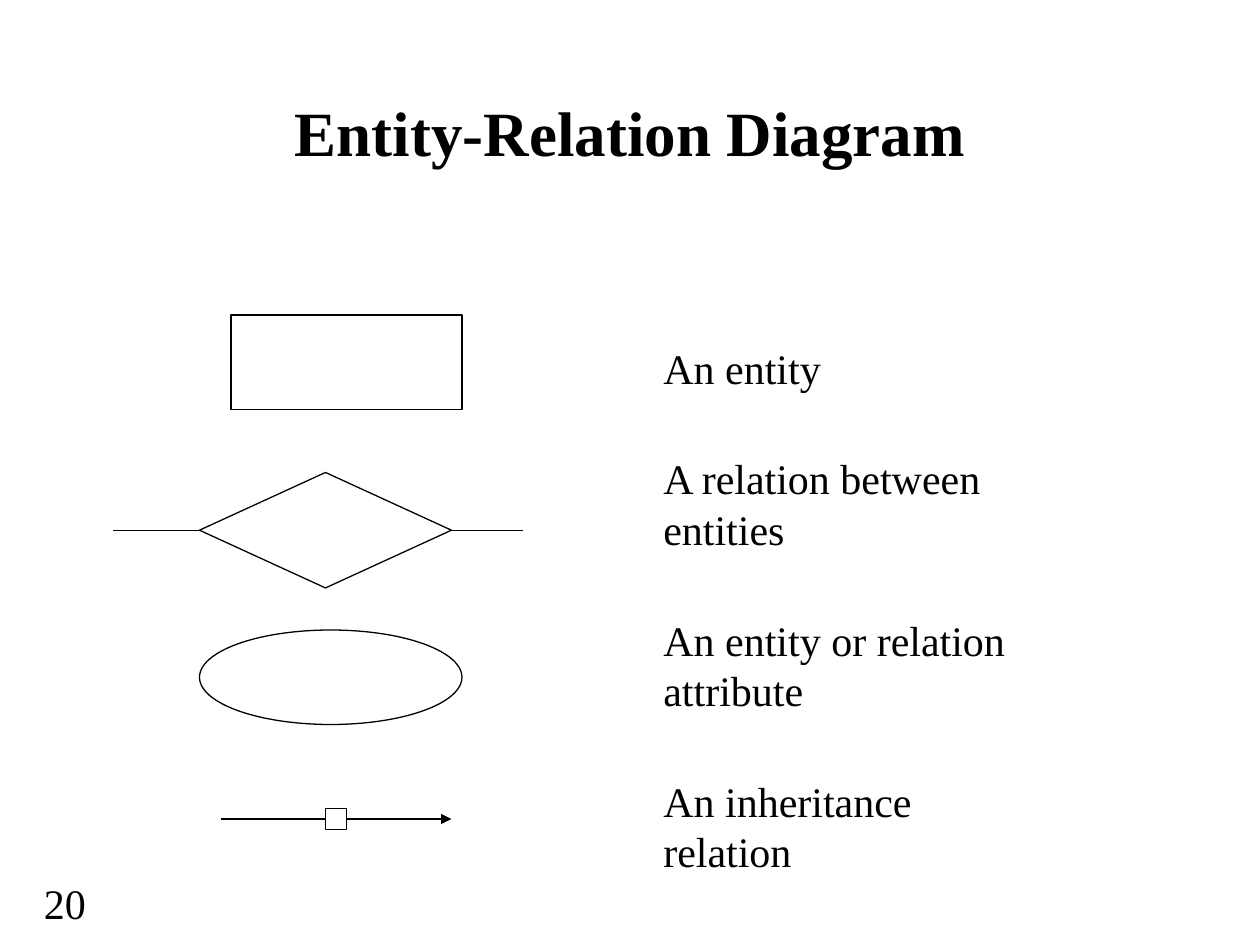
"""Build a slide with the legend of entity-relation diagram symbols."""
from dataclasses import dataclass

from lxml import etree
from pptx import Presentation
from pptx.dml.color import RGBColor
from pptx.enum.shapes import MSO_CONNECTOR, MSO_SHAPE
from pptx.enum.text import MSO_ANCHOR, MSO_AUTO_SIZE, PP_ALIGN
from pptx.oxml.ns import qn
from pptx.util import Inches, Pt

BLACK = RGBColor(0x00, 0x00, 0x00)
WHITE = RGBColor(0xFF, 0xFF, 0xFF)
RECTANGLE = MSO_SHAPE.RECTANGLE
OVAL = MSO_SHAPE.OVAL
DECISION = MSO_SHAPE.FLOWCHART_DECISION
STRAIGHT = MSO_CONNECTOR.STRAIGHT
TOP, MIDDLE = MSO_ANCHOR.TOP, MSO_ANCHOR.MIDDLE
LEFT, CENTER = PP_ALIGN.LEFT, PP_ALIGN.CENTER
NO_AUTO_SIZE = MSO_AUTO_SIZE.NONE

SLIDE_WIDTH, SLIDE_HEIGHT = Inches(10), Inches(7.5)
COLUMNS, ROWS = 120, 90
FONT_NAME = "Times New Roman"
LINE_WIDTH = Pt(0.75)


@dataclass(frozen=True)
class Area:
    """A rectangle in grid columns and rows."""
    column: float
    row: float
    columns: float
    rows: float

    def box(self) -> tuple[int, int, int, int]:
        """Return left, top, width and height as slide lengths."""
        return (across(self.column), down(self.row),
                across(self.columns), down(self.rows))


@dataclass(frozen=True)
class Symbol:
    """An outlined diagram symbol."""
    kind: int
    area: Area
    filled: bool = False


@dataclass(frozen=True)
class Rule:
    """A horizontal line, with or without an arrowhead."""
    start: float
    end: float
    row: float
    arrow: bool = False


@dataclass(frozen=True)
class Text:
    """A text box with its paragraphs and style."""
    area: Area
    lines: tuple[str, ...]
    size: float = 24
    bold: bool = False
    align: int = LEFT
    anchor: int = TOP
    gap: float = 0


ENTITY = Symbol(RECTANGLE, Area(22, 30, 22, 9))
ATTRIBUTE = Symbol(OVAL, Area(19, 60, 25, 9))
INHERITANCE_ARROW = Rule(21, 43, 78, arrow=True)
INHERITANCE_BOX = Symbol(RECTANGLE, Area(31, 77, 2, 2), filled=True)
RELATION_LINE = Rule(10.8, 49.8, 50.5)
RELATION = Symbol(DECISION, Area(19, 45, 24, 11), filled=True)

TEXTS = (
    Text(Area(3, 83, 10, 6), ("20",)),
    Text(Area(9, 5, 102, 15), ("Entity-Relation Diagram",),
         size=36, bold=True, align=CENTER, anchor=MIDDLE),
    Text(Area(62, 32, 37, 52),
         ("An entity", "A relation between entities",
          "An entity or relation attribute", "An inheritance relation"),
         gap=34.5),
)


def across(columns: float) -> int:
    """Convert grid columns to a length."""
    return round(SLIDE_WIDTH * columns / COLUMNS)


def down(rows: float) -> int:
    """Convert grid rows to a length."""
    return round(SLIDE_HEIGHT * rows / ROWS)


def draw_symbol(shapes, symbol: Symbol) -> None:
    """Draw one outlined symbol."""
    shape = shapes.add_shape(symbol.kind, *symbol.area.box())
    shape.shadow.inherit = False
    if symbol.filled:
        shape.fill.solid()
        shape.fill.fore_color.rgb = WHITE
    else:
        shape.fill.background()
    shape.line.color.rgb = BLACK
    shape.line.width = LINE_WIDTH


def draw_rule(shapes, rule: Rule) -> None:
    """Draw one horizontal line."""
    height = down(rule.row)
    connector = shapes.add_connector(
        STRAIGHT, across(rule.start), height, across(rule.end), height)
    connector.line.color.rgb = BLACK
    connector.line.width = LINE_WIDTH
    properties = connector._element.spPr
    if rule.arrow:
        etree.SubElement(properties.find(qn("a:ln")), qn("a:tailEnd"), type="triangle")
    etree.SubElement(properties, qn("a:effectLst"))


def draw_text(shapes, text: Text) -> None:
    """Draw one text box, a paragraph for each line."""
    frame = shapes.add_textbox(*text.area.box()).text_frame
    frame.word_wrap = True
    frame.auto_size = NO_AUTO_SIZE
    frame.vertical_anchor = text.anchor
    for index, line in enumerate(text.lines):
        paragraph = frame.add_paragraph() if index else frame.paragraphs[0]
        paragraph.alignment = text.align
        if index:
            paragraph.space_before = Pt(text.gap)
        run = paragraph.add_run()
        run.text = line
        run.font.name = FONT_NAME
        run.font.size = Pt(text.size)
        run.font.bold = text.bold
        run.font.color.rgb = BLACK


def main() -> None:
    """Build and save the presentation."""
    presentation = Presentation()
    presentation.slide_width = SLIDE_WIDTH
    presentation.slide_height = SLIDE_HEIGHT
    slide = presentation.slides.add_slide(presentation.slide_layouts[6])
    shapes = slide.shapes
    draw_symbol(shapes, ENTITY)
    draw_symbol(shapes, ATTRIBUTE)
    inheritance = shapes.add_group_shape().shapes
    draw_rule(inheritance, INHERITANCE_ARROW)
    draw_symbol(inheritance, INHERITANCE_BOX)
    draw_rule(shapes, RELATION_LINE)
    draw_symbol(shapes, RELATION)
    for text in TEXTS:
        draw_text(shapes, text)
    presentation.save("out.pptx")


if __name__ == "__main__":
    main()
